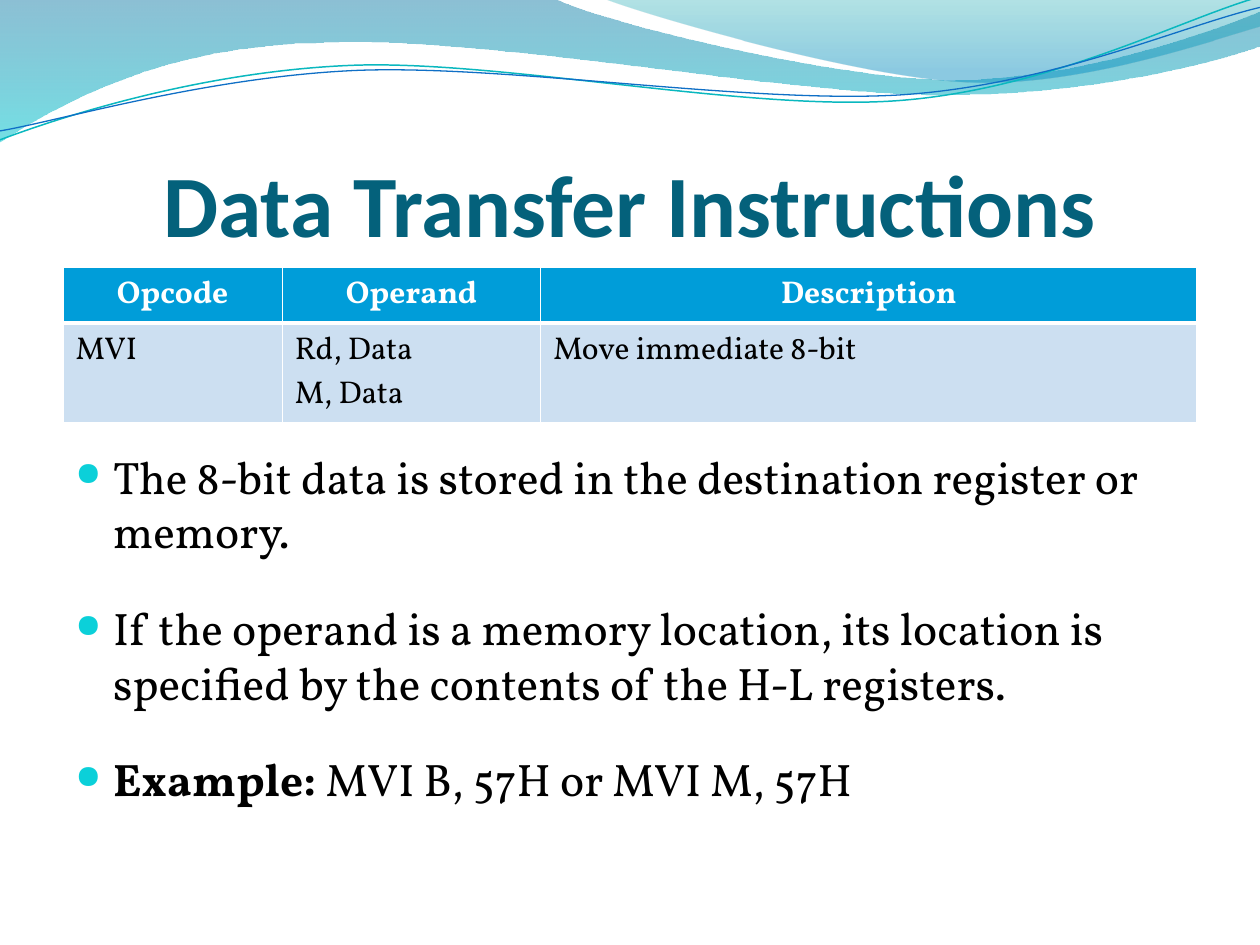
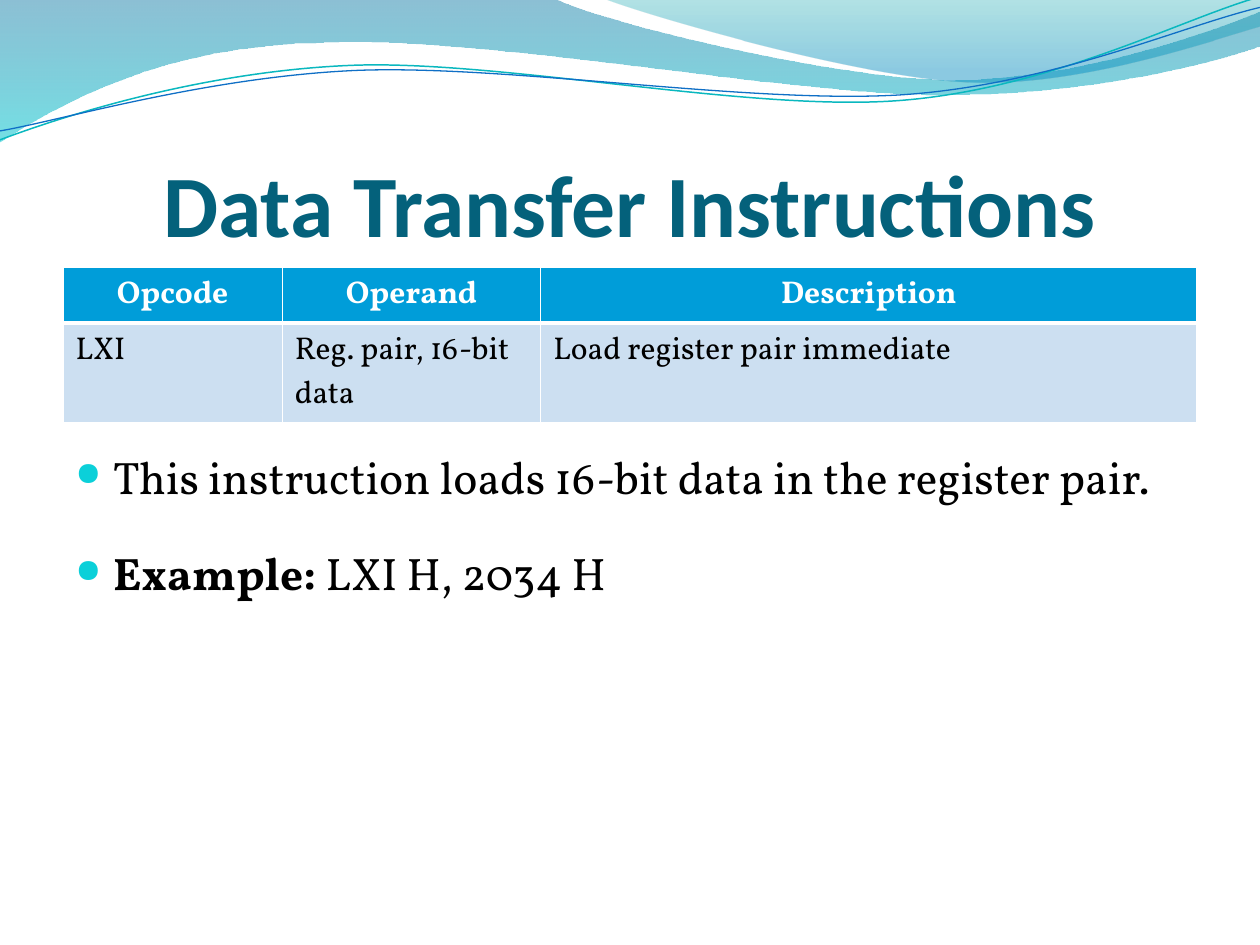
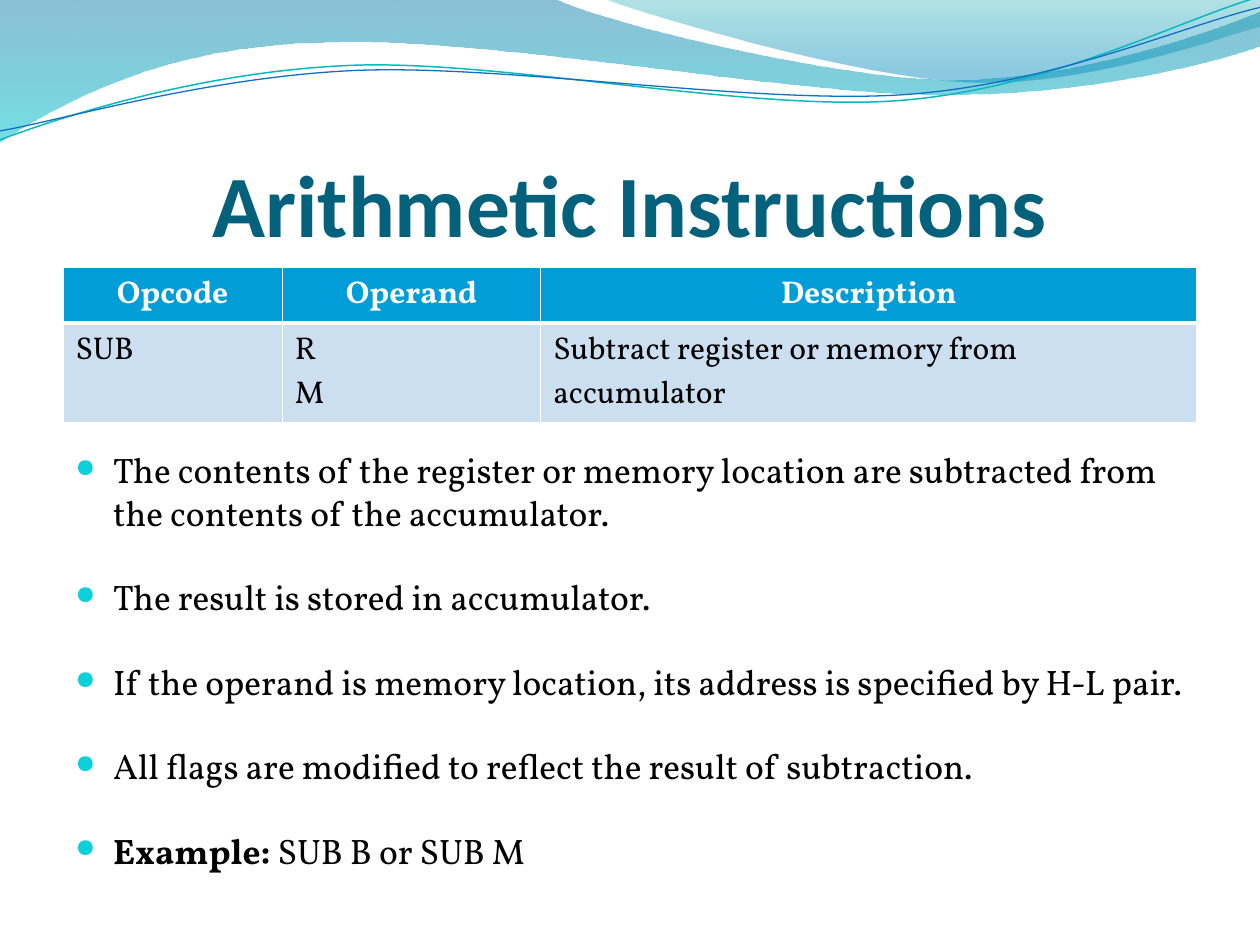
from dataclasses import dataclass

from lxml.etree import SubElement
from pptx import Presentation
from pptx.dml.color import RGBColor
from pptx.enum.text import MSO_ANCHOR, PP_ALIGN
from pptx.oxml.ns import qn
from pptx.util import Cm, Pt


@dataclass(frozen=True)
class Theme:
    title_font: str = "Calibri"
    text_font: str = "Vollkorn"
    title_size: float = 50
    table_size: float = 18
    title: str = "04617B"
    text: str = "000000"
    bullet: str = "0BD0D9"
    header_text: str = "FFFFFF"
    header_fill: str = "009DD9"
    row_fill: str = "CCDFF1"
    border: str = "FFFFFF"


theme = Theme()

# Each wave: start point, then Bezier steps in cm (two control points and the
# end point). A straight edge has its control points on its two ends.
# Gradient stops are position, colour, opacity in percent.
BANDS = [
    ((0, -0.03),
     [(0, -0.03, 11.18, -0.03, 11.18, -0.03),
      (12.09, 0.43, 16.87, 1.6, 19.25, 1.6),
      (21.67, 1.6, 24.33, 0.66, 25.4, 0.23),
      (25.4, 0.23, 25.43, 0.91, 25.43, 0.91),
      (24.97, 1.12, 22.1, 1.93, 18.95, 1.91),
      (15.8, 1.91, 9.7, 0.71, 6.53, 0.86),
      (3.28, 0.89, 1.17, 2.11, -0.03, 2.87)],
     [(0, "0074A1", 45), (1, "00C6CF", 55)]),
    ((12.17, -0.03),
     [(12.93, 0.28, 17.32, 1.57, 19.53, 1.65),
      (21.74, 1.75, 24.41, 0.81, 25.4, 0.53),
      (25.4, 0.53, 25.4, 0, 25.4, 0)],
     [(0, "00A1A9", 30), (0.8, "008BBF", 45)]),
]
STRANDS = [
    ((0, 2.82),
     [(1.22, 2.36, 4.01, 1.45, 7.04, 1.32),
      (10.03, 1.19, 15.06, 2.26, 18.11, 2.03),
      (21.16, 1.8, 23.83, 0.38, 25.35, -0.05)],
     "0AB8BF", 0.85),
    ((0, 2.64),
     [(1.19, 2.44, 4.17, 1.55, 7.19, 1.42),
      (10.24, 1.3, 15.16, 2.11, 18.21, 1.91),
      (21.23, 1.7, 23.8, 0.53, 25.4, 0.15)],
     "0F6FC6", 0.75),
]

HEADERS = ["Opcode", "Operand", "Description"]
COLUMN_WIDTHS = [4.42, 5.21, 13.23]
ROW_HEIGHTS = [1.13, 2.01]
# Border widths in points for the header row and the instruction row
BORDERS = [{"lnL": 1, "lnR": 1, "lnT": 1, "lnB": 3},
           {"lnL": 1, "lnR": 1, "lnT": 3, "lnB": 1}]

# Title, table row, bullet size, bullets as (bold lead, text)
SLIDES = [
    ("Data Transfer Instructions",
     ["MVI", "Rd, Data\nM, Data", "Move immediate 8-bit"], 26,
     [("", "The 8-bit data is stored in the destination register or memory."),
      ("", "If the operand is a memory location, its location is specified "
           "by the contents of the H-L registers."),
      ("Example:", " MVI B, 57H or MVI M, 57H")]),
    ("Data Transfer Instructions",
     ["LXI", "Reg. pair, 16-bit data", "Load register pair immediate"], 26,
     [("", "This instruction loads 16-bit data in the register pair."),
      ("Example:", " LXI H, 2034 H")]),
    ("Arithmetic Instructions",
     ["SUB", "R\nM", "Subtract register or memory from accumulator"], 20.2,
     [("", "The contents of the register or memory location are subtracted "
           "from the contents of the accumulator."),
      ("", "The result is stored in accumulator."),
      ("", "If the operand is memory location, its address is specified "
           "by H-L pair."),
      ("", "All flags are modified to reflect the result of subtraction."),
      ("Example: ", "SUB B or SUB M")]),
]


def add_wave(slide, start, steps, close):
    """Add a freeform and turn each three of its points into one curve."""
    points = [(Cm(s[i]), Cm(s[i + 1])) for s in steps for i in (0, 2, 4)]
    builder = slide.shapes.build_freeform(Cm(start[0]), Cm(start[1]))
    builder.add_line_segments(points, close=close)
    sp = builder.convert_to_shape()
    sp.shadow.inherit = False
    lines = list(sp._element.iter(qn("a:lnTo")))
    for i in range(0, len(lines), 3):
        first, *others = lines[i:i + 3]
        curve = first.makeelement(qn("a:cubicBezTo"))
        first.addprevious(curve)
        for line in (first, *others):
            curve.append(line[0])
            line.getparent().remove(line)
    return sp


def style_run(r, font, size, color, bold):
    r.font.name = font
    r.font.size = Pt(size)
    r.font.color.rgb = RGBColor.from_string(color)
    r.font.bold = bold


prs = Presentation()
prs.slide_width, prs.slide_height = Cm(25.4), Cm(19.05)

for title, row, bullet_size, bullets in SLIDES:
    slide = prs.slides.add_slide(prs.slide_layouts[6])

    # Wave decoration
    for start, steps, stops in BANDS:
        sp = add_wave(slide, start, steps, close=True)
        sp.line.fill.background()
        sp.fill.gradient()
        sp.fill.gradient_angle = 270
        for stop, (position, color, _) in zip(sp.fill.gradient_stops, stops):
            stop.position = position
            stop.color.rgb = RGBColor.from_string(color)
        for clr, (_, _, opacity) in zip(sp._element.iter(qn("a:srgbClr")), stops):
            SubElement(clr, qn("a:alpha"), val=str(opacity * 1000))
    for start, steps, color, width in STRANDS:
        sp = add_wave(slide, start, steps, close=False)
        sp.fill.background()
        sp.line.color.rgb = RGBColor.from_string(color)
        sp.line.width = Pt(width)

    # Title
    tf = slide.shapes.add_textbox(Cm(1.27), Cm(1.97), Cm(22.86), Cm(3.18)).text_frame
    tf.word_wrap = True
    tf.vertical_anchor = MSO_ANCHOR.BOTTOM
    tf.margin_left = tf.margin_right = tf.margin_bottom = 0
    tf.text = title
    p = tf.paragraphs[0]
    p.alignment = PP_ALIGN.CENTER
    style_run(p.runs[0], theme.title_font, theme.title_size, theme.title, True)

    # Instruction table
    table = slide.shapes.add_table(2, 3, Cm(1.27), Cm(5.38), Cm(22.86),
                                   Cm(sum(ROW_HEIGHTS))).table
    for column, width in zip(table.columns, COLUMN_WIDTHS):
        column.width = Cm(width)
    for i, texts in enumerate([HEADERS, row]):
        header = i == 0
        table.rows[i].height = Cm(ROW_HEIGHTS[i])
        for cell, text in zip(table.rows[i].cells, texts):
            cell.text = text
            tcPr = cell._tc.get_or_add_tcPr()
            for side, width in BORDERS[i].items():
                ln = SubElement(tcPr, qn(f"a:{side}"), w=str(Pt(width)))
                SubElement(SubElement(ln, qn("a:solidFill")), qn("a:srgbClr"),
                           val=theme.border)
            cell.fill.solid()
            cell.fill.fore_color.rgb = RGBColor.from_string(
                theme.header_fill if header else theme.row_fill)
            for p in cell.text_frame.paragraphs:
                p.alignment = PP_ALIGN.CENTER if header else PP_ALIGN.LEFT
                style_run(p.runs[0], theme.text_font, theme.table_size,
                          theme.header_text if header else theme.text, header)

    # Bullets
    tf = slide.shapes.add_textbox(Cm(1.27), Cm(8.92), Cm(22.86), Cm(8.64)).text_frame
    tf.word_wrap = True
    tf.margin_right = Cm(0.1)
    for i, (lead, text) in enumerate(bullets):
        p = tf.add_paragraph() if i else tf.paragraphs[0]
        p.line_spacing = Pt(1.2 * bullet_size)
        p.space_after = Pt(24)
        for part, bold in ((lead, True), (text, False)):
            if part:
                r = p.add_run()
                r.text = part
                style_run(r, theme.text_font, bullet_size, theme.text, bold)
        pPr = p._p.get_or_add_pPr()
        pPr.set("marL", str(Cm(0.76)))
        pPr.set("indent", str(-Cm(0.76)))
        SubElement(SubElement(pPr, qn("a:buClr")), qn("a:srgbClr"), val=theme.bullet)
        SubElement(pPr, qn("a:buSzPct"), val="72000")
        SubElement(pPr, qn("a:buChar"), char="●")

prs.save("out.pptx")
